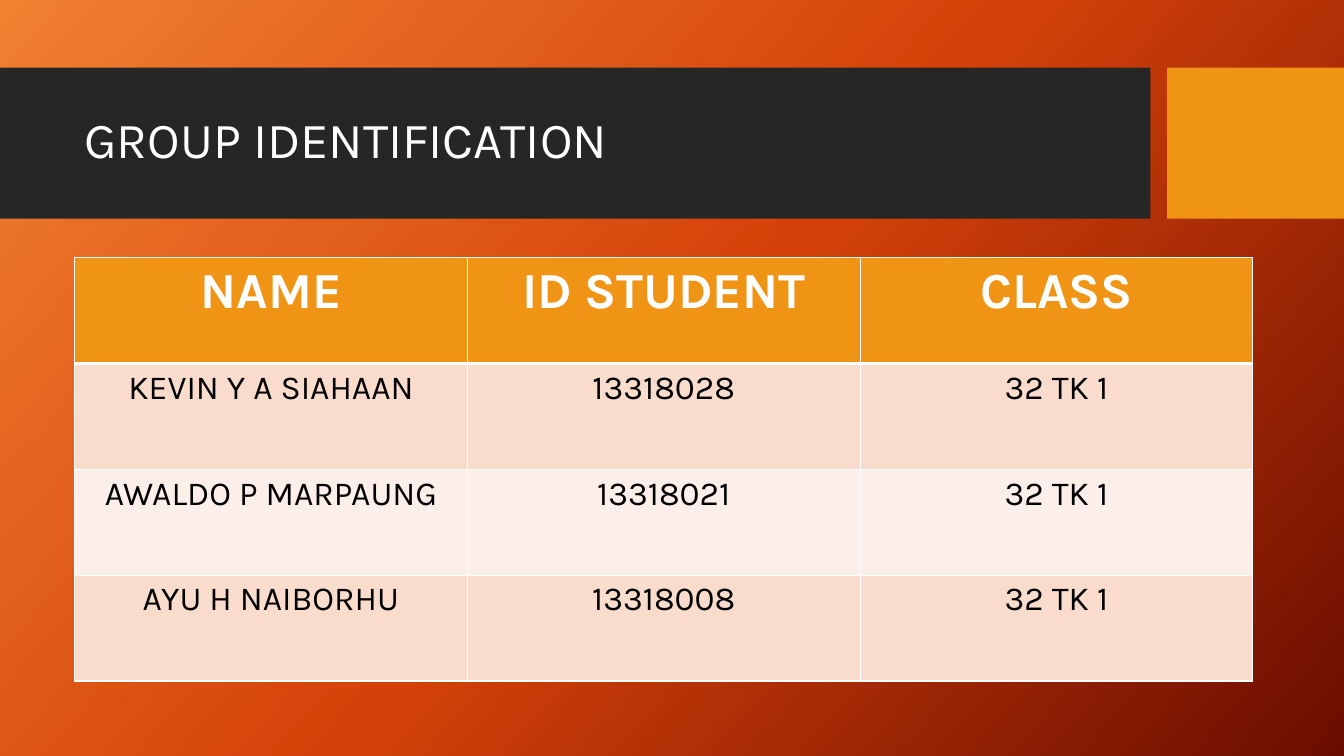
from copy import deepcopy
from dataclasses import dataclass

from lxml import etree
from pptx import Presentation
from pptx.dml.color import RGBColor
from pptx.enum.shapes import MSO_SHAPE
from pptx.enum.text import MSO_ANCHOR, PP_ALIGN
from pptx.oxml.ns import qn
from pptx.util import Pt

RECTANGLE = MSO_SHAPE.RECTANGLE
MIDDLE = MSO_ANCHOR.MIDDLE
LEFT, CENTER = PP_ALIGN.LEFT, PP_ALIGN.CENTER


@dataclass(frozen=True)
class Theme:
    font: str = "Karla"
    heading_size: int = 36
    body_size: int = 24
    white: str = "FFFFFF"
    black: str = "000000"
    charcoal: str = "262626"
    amber: str = "F09415"
    bands: tuple = ("F9DCCC", "FCEEE8")
    backdrop: tuple = ((0, "F18031"), (0.5, "D54209"), (1, "6A0D00"))
    thin_border: int = 1
    thick_border: int = 3


@dataclass(frozen=True)
class Block:
    left: float
    top: float
    width: float
    height: float
    color: str = ""

    def frame(self) -> tuple:
        return Pt(self.left), Pt(self.top), Pt(self.width), Pt(self.height)


THEME = Theme()
BANNER = (
    Block(0, 48.24, 821.7, 108, THEME.charcoal),
    Block(833.76, 48.24, 126.24, 108, THEME.amber),
)
TITLE = Block(53.28, 59.04, 756.72, 84.96)
ROSTER = Block(53.28, 184.1, 841.68, 302.4)
ROSTER_ROWS = (
    ("NAME", "ID STUDENT", "CLASS"),
    ("KEVIN Y A SIAHAAN", "13318028", "32 TK 1"),
    ("AWALDO P MARPAUNG", "13318021", "32 TK 1"),
    ("AYU H NAIBORHU", "13318008", "32 TK 1"),
)


def write_text(frame, text: str, *, size: int, color: str, bold: bool = False,
               align=LEFT, spacing: float = 1.0) -> None:
    para = frame.paragraphs[0]
    para.alignment = align
    para.line_spacing = spacing
    span = para.add_run()
    span.text = text
    span.font.name = THEME.font
    span.font.size = Pt(size)
    span.font.bold = bold
    span.font.color.rgb = RGBColor.from_string(color)


def paint_background(page) -> None:
    fill = page.background.fill
    fill.gradient()
    fill.gradient_angle = 360 - 42
    stop_list = next(page.element.iter(qn("a:gsLst")))
    stop_list.append(deepcopy(stop_list[-1]))
    for stop, (position, color) in zip(fill.gradient_stops, THEME.backdrop):
        stop.position = position
        stop.color.rgb = RGBColor.from_string(color)


def draw_block(page, block: Block) -> None:
    box = page.shapes.add_shape(RECTANGLE, *block.frame())
    box.shadow.inherit = False
    box.fill.solid()
    box.fill.fore_color.rgb = RGBColor.from_string(block.color)
    box.line.fill.background()


def draw_title(page, text: str) -> None:
    frame = page.shapes.add_textbox(*TITLE.frame()).text_frame
    frame.word_wrap = True
    frame.vertical_anchor = MIDDLE
    write_text(frame, text, size=THEME.heading_size, color=THEME.white, spacing=0.9)


def set_borders(cell, *, top: int, bottom: int) -> None:
    properties = cell._tc.get_or_add_tcPr()
    widths = {"lnL": THEME.thin_border, "lnR": THEME.thin_border, "lnT": top, "lnB": bottom}
    for index, (side, width) in enumerate(widths.items()):
        line = etree.Element(qn(f"a:{side}"), w=str(Pt(width)))
        fill = etree.SubElement(line, qn("a:solidFill"))
        etree.SubElement(fill, qn("a:srgbClr"), val=THEME.white)
        properties.insert(index, line)


def draw_roster(page) -> None:
    row_count, column_count = len(ROSTER_ROWS), len(ROSTER_ROWS[0])
    table = page.shapes.add_table(row_count, column_count, *ROSTER.frame()).table
    for column in table.columns:
        column.width = Pt(ROSTER.width / column_count)
    for row_index, values in enumerate(ROSTER_ROWS):
        table.rows[row_index].height = Pt(ROSTER.height / row_count)
        header = row_index == 0
        background = THEME.amber if header else THEME.bands[(row_index - 1) % 2]
        for column_index, value in enumerate(values):
            cell = table.cell(row_index, column_index)
            cell.fill.solid()
            cell.fill.fore_color.rgb = RGBColor.from_string(background)
            set_borders(
                cell,
                top=THEME.thick_border if row_index == 1 else THEME.thin_border,
                bottom=THEME.thick_border if header else THEME.thin_border,
            )
            write_text(
                cell.text_frame, value, bold=header, align=CENTER,
                size=THEME.heading_size if header else THEME.body_size,
                color=THEME.white if header else THEME.black,
            )


def main() -> None:
    deck = Presentation()
    deck.slide_width, deck.slide_height = Pt(960), Pt(540)
    page = deck.slides.add_slide(deck.slide_layouts[6])
    paint_background(page)
    for block in BANNER:
        draw_block(page, block)
    draw_title(page, "GROUP IDENTIFICATION")
    draw_roster(page)
    deck.save("out.pptx")


if __name__ == "__main__":
    main()
